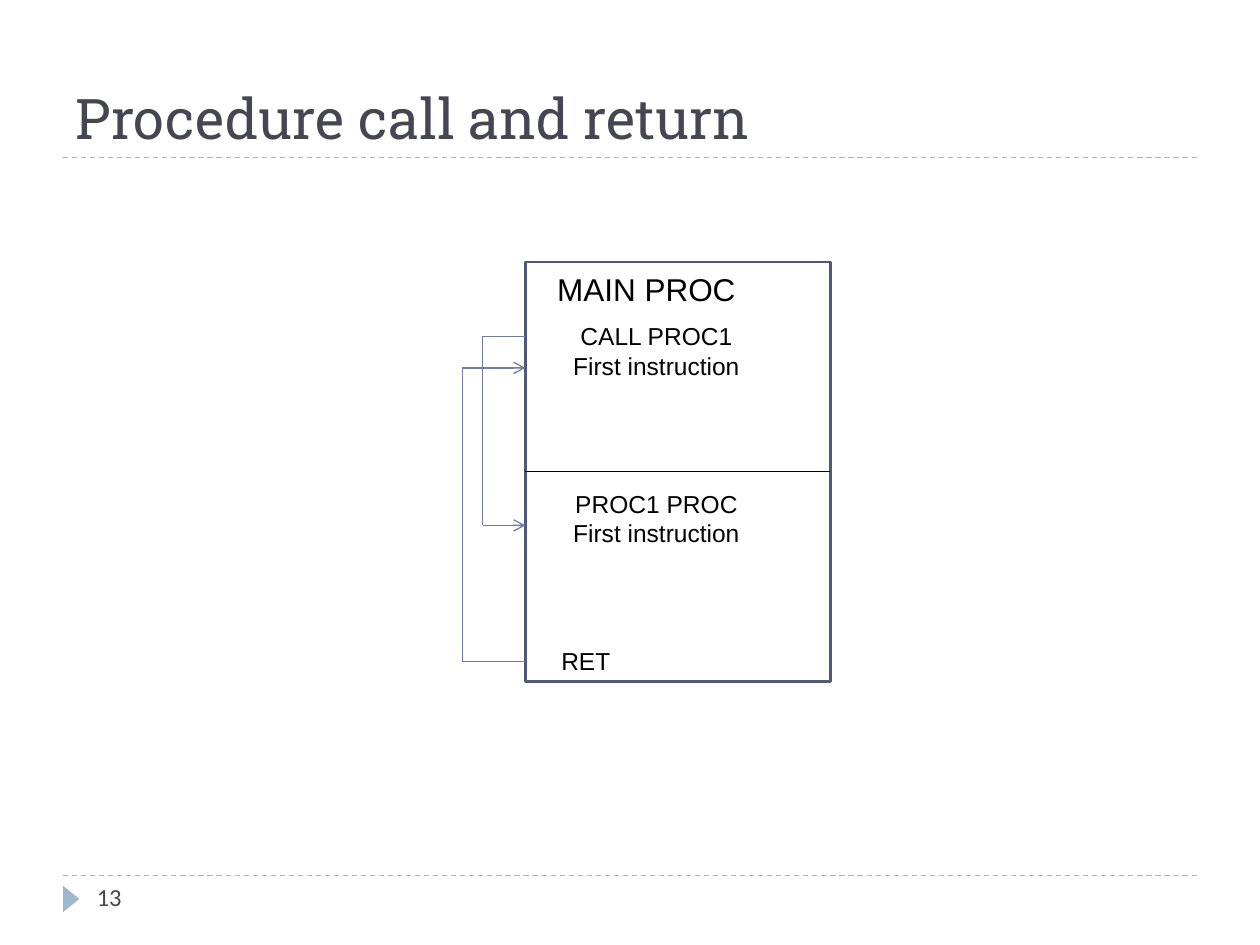
from dataclasses import dataclass
from itertools import pairwise

from lxml import etree
from pptx import Presentation
from pptx.dml.color import RGBColor
from pptx.enum import dml, shapes, text
from pptx.oxml import ns
from pptx.util import Inches, Pt


@dataclass(frozen=True)
class Theme:
    """Colours, fonts and type sizes of the slide."""
    ink: str = "464653"
    black: str = "000000"
    white: str = "FFFFFF"
    rule: str = "9FB8CD"
    frame: str = "525977"
    arrow: str = "727CA3"
    title_font: str = "Roboto Slab"
    number_font: str = "Calibri"
    code_font: str = "Arial"
    title: int = 32
    heading: int = 18
    body: int = 14
    thin: float = 0.75
    thick: float = 1.5


THEME = Theme()
ALIGN = text.PP_ALIGN


def write(tf, lines, size, font, color, align):
    """Write one paragraph per line into a text frame."""
    tf.word_wrap = True
    for i, line in enumerate(lines):
        p = tf.add_paragraph() if i else tf.paragraphs[0]
        p.alignment = align
        r = p.add_run()
        r.text = line
        r.font.size = Pt(size)
        r.font.name = font
        r.font.color.rgb = RGBColor.from_string(color)


def add_text(s, box, lines, size, font, color, align):
    """Add a text box."""
    tf = s.shapes.add_textbox(*map(Inches, box)).text_frame
    write(tf, lines, size, font, color, align)


def add_line(s, start, end, color, dashed=False, arrow=False):
    """Add a thin straight line, optionally dashed or with an arrowhead."""
    line = s.shapes.add_connector(
        shapes.MSO_CONNECTOR.STRAIGHT, *map(Inches, (*start, *end)))
    line.line.color.rgb = RGBColor.from_string(color)
    line.line.width = Pt(THEME.thin)
    if dashed:
        line.line.dash_style = dml.MSO_LINE.DASH
    if arrow:
        etree.SubElement(line.line._get_or_add_ln(), ns.qn("a:tailEnd"), type="arrow")
    etree.SubElement(line._element.spPr, ns.qn("a:effectLst"))


def add_solid(s, kind, box, fill, outline=None):
    """Add a filled preset shape."""
    sp = s.shapes.add_shape(kind, *map(Inches, box))
    sp.shadow.inherit = False
    sp.fill.solid()
    sp.fill.fore_color.rgb = RGBColor.from_string(fill)
    if outline:
        sp.line.color.rgb = RGBColor.from_string(outline)
        sp.line.width = Pt(THEME.thick)
    else:
        sp.line.fill.background()
    return sp


def add_title(s, box, title):
    """Fill the title placeholder and rule it off below."""
    x, y, w, h = box
    sp = s.shapes.title
    sp.left, sp.top, sp.width, sp.height = map(Inches, box)
    tf = sp.text_frame
    tf.auto_size = text.MSO_AUTO_SIZE.NONE
    tf.vertical_anchor = text.MSO_ANCHOR.BOTTOM
    write(tf, [title], THEME.title, THEME.title_font, THEME.ink, ALIGN.LEFT)
    add_line(s, (x, y + h), (x + w, y + h), THEME.rule, dashed=True)


def add_footer(s, box, number):
    """Add the footer rule, marker and slide number."""
    x, y, w, h = box
    add_line(s, (x, y), (x + w, y), THEME.rule, dashed=True)
    marker = add_solid(s, shapes.MSO_SHAPE.ISOSCELES_TRIANGLE,
                       (x - 0.04, y + 0.12, 0.21, 0.13), THEME.rule)
    marker.rotation = 90
    add_text(s, (x + 0.17, y, 2.17, h), [number],
             THEME.body, THEME.number_font, THEME.ink, ALIGN.LEFT)


def add_jump(s, x, y_from, y_to, reach):
    """Route an arrow out of the left edge and back in at another height."""
    points = [(x, y_from), (x - reach, y_from), (x - reach, y_to), (x, y_to)]
    for i, (start, end) in enumerate(pairwise(points)):
        add_line(s, start, end, THEME.arrow, arrow=i == 2)


def add_memory(s, box):
    """Draw the two procedures in memory with the call and return arrows."""
    x, y, w, h = box
    middle = y + h / 2
    add_solid(s, shapes.MSO_SHAPE.RECTANGLE, box, THEME.white, THEME.frame)
    add_line(s, (x, middle), (x + w, middle), THEME.black)
    labels = [
        (0.01, 1.92, 0.4, THEME.heading, ["MAIN PROC"]),
        (0.42, 2.08, 0.57, THEME.body, ["CALL PROC1", "First instruction"]),
        (1.75, 2.08, 0.57, THEME.body, ["PROC1 PROC", "First instruction"]),
        (3, 0.96, 0.34, THEME.body, ["RET"]),
    ]
    for dy, width, height, size, lines in labels:
        add_text(s, (x, y + dy, width, height), lines,
                 size, THEME.code_font, THEME.black, ALIGN.CENTER)
    add_jump(s, x, y + 0.59, y + 2.09, 0.34)
    add_jump(s, x, y + 3.17, y + 0.84, 0.5)


def main():
    """Build and save the slide."""
    prs = Presentation()
    prs.slide_width, prs.slide_height = Inches(10), Inches(7.5)
    s = prs.slides.add_slide(prs.slide_layouts[5])
    add_title(s, (0.5, 0.17, 9, 1.08), "Procedure call and return")
    add_footer(s, (0.5, 6.95, 9, 0.4), "13")
    add_memory(s, (4.17, 2.08, 2.42, 3.33))
    prs.save("out.pptx")


if __name__ == "__main__":
    main()
